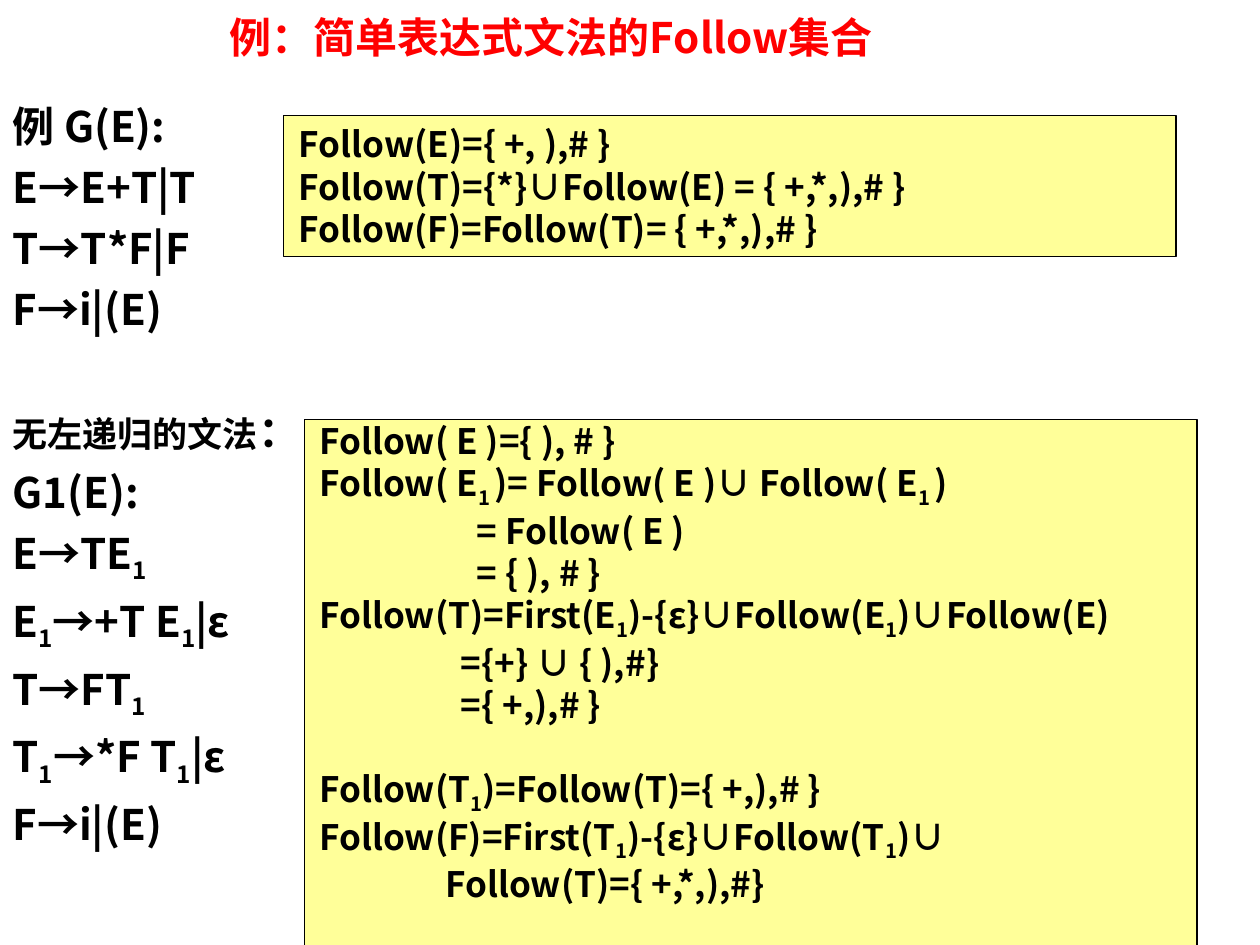
from dataclasses import dataclass

from lxml.etree import SubElement
from pptx import Presentation
from pptx.dml.color import RGBColor
from pptx.enum.shapes import MSO_SHAPE as Preset
from pptx.enum.text import MSO_ANCHOR as Anchor, MSO_AUTO_SIZE as AutoSize, PP_ALIGN as Align
from pptx.oxml.ns import qn
from pptx.slide import Slide
from pptx.util import Cm, Pt


def color(value):
    return RGBColor.from_string(value)


@dataclass
class Line:
    text: str
    indent: float = 0
    before: float = 0
    size: float = 0


@dataclass
class SlideBuilder:
    """Hold the style and the current slide, with a method for each element."""

    slide: Slide
    font: str = "Noto Sans CJK SC"
    ink: str = "000000"
    accent: str = "FF0000"
    panel: str = "FFFF99"
    title_size: int = 24
    panel_size: int = 20

    def place(self, shape, left, top, width, height):
        shape.left, shape.top = Cm(left), Cm(top)
        shape.width, shape.height = Cm(width), Cm(height)

    def fill_text(self, frame, lines, size, ink, align=Align.LEFT):
        frame.word_wrap = True
        frame.auto_size = AutoSize.NONE
        for index, line in enumerate(lines):
            paragraph = frame.paragraphs[0] if index == 0 else frame.add_paragraph()
            properties = paragraph._p.get_or_add_pPr()
            properties.set("marL", str(Cm(line.indent)))
            properties.set("indent", "0")
            SubElement(properties, qn("a:buNone"))
            font = paragraph.font
            font.name, font.size, font.bold = self.font, Pt(line.size or size), True
            font.color.rgb = color(ink)
            SubElement(font._element, qn("a:ea")).set("typeface", self.font)
            paragraph.alignment = align
            paragraph.space_before = Pt(line.before)
            for position, piece in enumerate(line.text.split("_")):
                if piece:
                    run = paragraph.add_run()
                    run.text = piece
                    if position % 2:
                        run.font._element.set("baseline", "-25000")

    def add_title(self, text, *box):
        title = self.slide.shapes.title
        self.place(title, *box)
        title.text_frame.vertical_anchor = Anchor.MIDDLE
        self.fill_text(title.text_frame, [Line(text)], self.title_size, self.accent, Align.CENTER)

    def add_body(self, lines, *box):
        body = self.slide.placeholders[1]
        self.place(body, *box)
        self.fill_text(body.text_frame, lines, self.title_size, self.ink)
        return body.text_frame

    def add_panel(self, lines, margin, *box):
        panel = self.slide.shapes.add_shape(Preset.RECTANGLE, *map(Cm, box))
        panel.shadow.inherit = False
        panel.fill.solid()
        panel.fill.fore_color.rgb = color(self.panel)
        panel.line.color.rgb = color(self.ink)
        panel.line.width = Pt(0.75)
        frame = panel.text_frame
        frame.vertical_anchor = Anchor.TOP
        frame.margin_left, frame.margin_right = Cm(0.3), 0
        frame.margin_top = frame.margin_bottom = Cm(margin)
        self.fill_text(frame, lines, self.panel_size, self.ink)


def main():
    presentation = Presentation()
    presentation.slide_width, presentation.slide_height = Cm(25.4), Cm(19.05)
    builder = SlideBuilder(presentation.slides.add_slide(presentation.slide_layouts[1]))

    builder.add_title("例：简单表达式文法的Follow集合", 0, 0, 22.23, 1.47)

    grammar = [Line("例 G(E):")]
    grammar += [Line(rule, before=6) for rule in ("E→E+T|T", "T→T*F|F", "F→i|(E)")]
    heading = Line("无左递归的文法", before=41, size=20)
    grammar.append(heading)
    grammar += [
        Line(rule, before=6)
        for rule in ("G1(E):", "E→TE_1", "E_1_→+T E_1_|ε", "T→FT_1", "T_1_→*F T_1_|ε", "F→i|(E)")
    ]
    frame = builder.add_body(grammar, 0, 1.9, 5.93, 16.09)
    colon = frame.paragraphs[grammar.index(heading)].add_run()
    colon.text = "："
    colon.font.size = Pt(builder.title_size)

    builder.add_panel(
        [
            Line("Follow( E )={ ), # }"),
            Line("Follow( E_1 _)= Follow( E )∪ Follow( E_1 _)"),
            Line("= Follow( E )", indent=3.17),
            Line("= { ), # }", indent=3.17),
            Line("Follow(T)=First(E_1_)-{ε}∪Follow(E_1_)∪Follow(E)"),
            Line("={+} ∪ { ),#}", indent=2.85),
            Line("={ +,),# }", indent=2.85),
            Line("Follow(T_1_)=Follow(T)={ +,),# }", before=24),
            Line("Follow(F)=First(T_1_)-{ε}∪Follow(T_1_)∪"),
            Line("Follow(T)={ +,*,),#}", indent=2.54),
        ],
        0, 6.14, 8.46, 17.99, 10.62,
    )
    builder.add_panel(
        [
            Line("Follow(E)={ +, ),# }"),
            Line("Follow(T)={*}∪Follow(E) = { +,*,),# }"),
            Line("Follow(F)=Follow(T)= { +,*,),# }"),
        ],
        0.15, 5.72, 2.33, 17.99, 2.84,
    )
    presentation.save("out.pptx")


if __name__ == "__main__":
    main()
